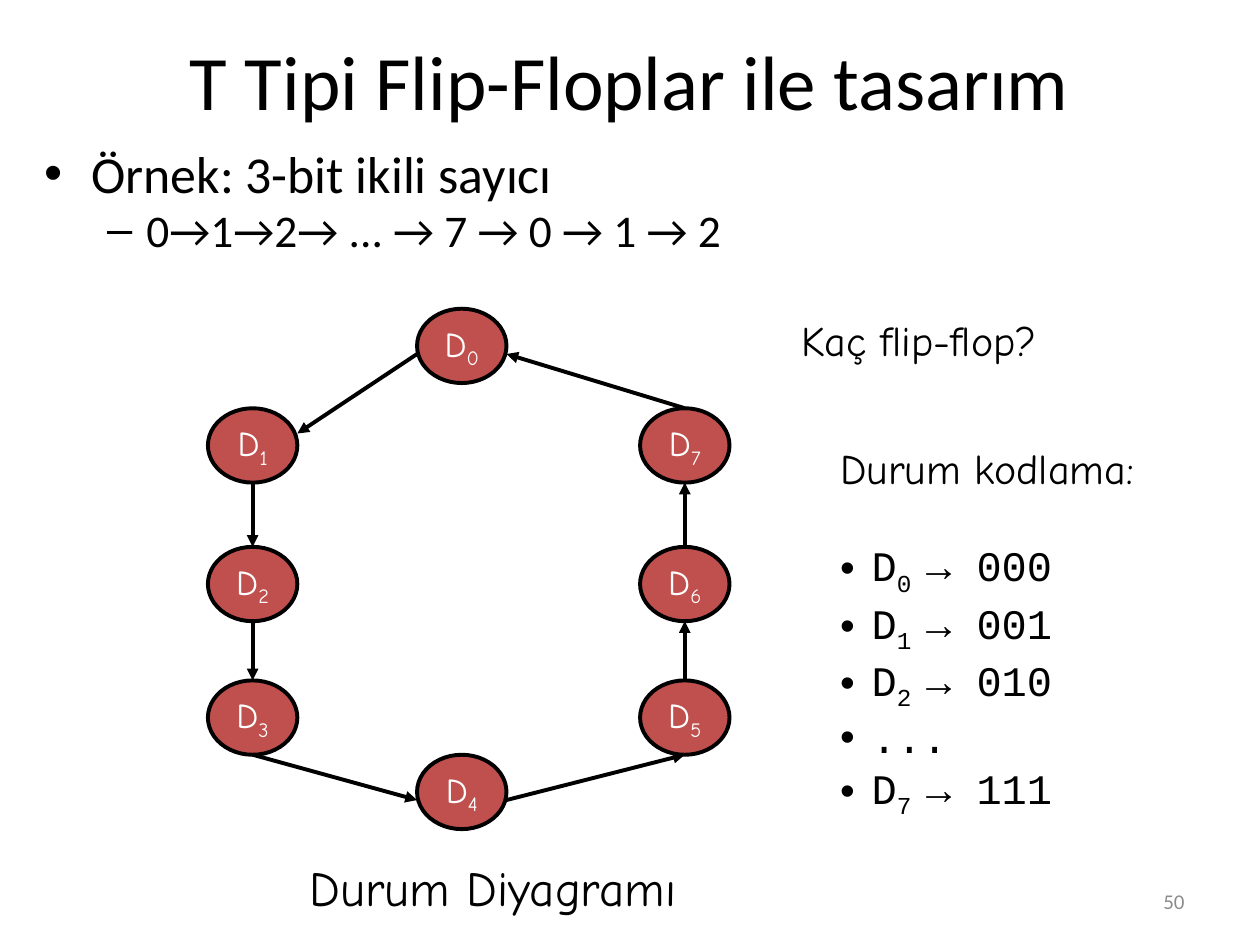
from dataclasses import dataclass

from lxml import etree
from pptx import Presentation
from pptx.dml.color import RGBColor
from pptx.enum.shapes import MSO_CONNECTOR, MSO_SHAPE
from pptx.enum.text import MSO_ANCHOR, MSO_AUTO_SIZE, PP_ALIGN
from pptx.oxml.ns import qn
from pptx.util import Inches, Pt

STRAIGHT = MSO_CONNECTOR.STRAIGHT
OVAL = MSO_SHAPE.OVAL
MIDDLE = MSO_ANCHOR.MIDDLE
NO_FIT = MSO_AUTO_SIZE.NONE
CENTER, RIGHT, LEFT = PP_ALIGN.CENTER, PP_ALIGN.RIGHT, PP_ALIGN.LEFT

COLORS = {"ink": "000000", "state": "C0504D", "label": "FFFFFF", "number": "8C8C8C"}
SANS, COMIC, MONO = "Calibri", "Comic Neue", "Courier New"
STATE_W, STATE_H = 0.71, 0.59
LINE_W = Pt(2.25)

# Arrow ends, as fractions of a state's width and height
TOP, BOTTOM = (0.5, 0), (0.5, 1)
LOW_LEFT, LOW_RIGHT, HIGH_RIGHT = (0, 0.61), (1, 0.61), (1, 0.34)


@dataclass
class State:
    left: float
    top: float

    def point(self, anchor: tuple) -> tuple:
        return (Inches(self.left + anchor[0] * STATE_W),
                Inches(self.top + anchor[1] * STATE_H))


@dataclass
class Code:
    index: str
    bits: str


LEFT_X, MID_X, RIGHT_X = 1.65, 3.31, 5.08
ROWS = (3.24, 4.34, 5.4)
STATES = [
    State(MID_X, 2.45),
    *(State(LEFT_X, y) for y in ROWS),
    State(MID_X, 5.99),
    *(State(RIGHT_X, y) for y in reversed(ROWS)),
]
# Start and end anchors of the arrow that leaves each state
ARROWS = [
    (LOW_LEFT, HIGH_RIGHT), (BOTTOM, TOP), (BOTTOM, TOP), (BOTTOM, LOW_LEFT),
    (LOW_RIGHT, BOTTOM), (TOP, BOTTOM), (TOP, BOTTOM), (TOP, LOW_RIGHT),
]
CODES = [Code("0", "000"), Code("1", "001"), Code("2", "010"), None, Code("7", "111")]


def rgb(name: str) -> RGBColor:
    return RGBColor.from_string(COLORS[name])


def add_run(p, text: str, size: float, font: str, color: str = "ink", subscript: bool = False):
    r = p.add_run()
    r.text = text
    r.font.size = Pt(size)
    r.font.name = font
    r.font.color.rgb = rgb(color)
    if subscript:
        r.font._element.set("baseline", "-25000")


def add_text_box(slide, left: float, top: float, width: float, height: float, wrap: bool = False):
    tf = slide.shapes.add_textbox(Inches(left), Inches(top), Inches(width), Inches(height)).text_frame
    tf.word_wrap = wrap
    return tf


def set_hanging(p, bullet: str = ""):
    """Indent the paragraph by a quarter inch, with an optional bullet in the gap."""
    pPr = p._p.get_or_add_pPr()
    pPr.set("marL", str(Inches(0.25)))
    pPr.set("indent", str(-Inches(0.25)))
    if bullet:
        etree.SubElement(pPr, qn("a:buFont"), typeface="Arial")
        etree.SubElement(pPr, qn("a:buChar"), char=bullet)


def draw_state(slide, index: int, state: State):
    s = slide.shapes.add_shape(OVAL, Inches(state.left), Inches(state.top),
                               Inches(STATE_W), Inches(STATE_H))
    s.shadow.inherit = False
    s.fill.solid()
    s.fill.fore_color.rgb = rgb("state")
    s.line.color.rgb = rgb("ink")
    s.line.width = LINE_W
    tf = s.text_frame
    tf.word_wrap = False
    tf.vertical_anchor = MIDDLE
    p = tf.paragraphs[0]
    p.alignment = CENTER
    add_run(p, "D", 20, COMIC, "label")
    add_run(p, str(index), 20, COMIC, "label", subscript=True)


def draw_arrow(slide, start: tuple, end: tuple):
    c = slide.shapes.add_connector(STRAIGHT, *start, *end)
    c.line.color.rgb = rgb("ink")
    c.line.width = LINE_W
    etree.SubElement(c.line._get_or_add_ln(), qn("a:tailEnd"), type="triangle")
    etree.SubElement(c._element.spPr, qn("a:effectLst"))


def fill_placeholders(slide):
    title, body = slide.placeholders[0], slide.placeholders[1]
    for sp, box in ((title, (0.5, 0.01, 9, 1.25)), (body, (0.25, 1.17, 9.58, 1.01))):
        sp.left, sp.top, sp.width, sp.height = map(Inches, box)
        sp.text_frame.auto_size = NO_FIT
    add_run(title.text_frame.paragraphs[0], "T Tipi Flip-Floplar ile tasarım", 44, SANS)

    tf = body.text_frame
    lines = (("Örnek: 3-bit ikili sayıcı", 29.6), ("0→1→2→ ... → 7 → 0 → 1 → 2", 25.9))
    for level, (text, size) in enumerate(lines):
        p = tf.add_paragraph() if level else tf.paragraphs[0]
        p.level = level
        p.line_spacing = 0.8
        add_run(p, text, size, SANS)


def draw_coding(slide):
    tf = add_text_box(slide, 6.57, 3.46, 2.67, 2.93)
    p = tf.paragraphs[0]
    p.alignment = LEFT
    p.space_after = Pt(27)
    set_hanging(p)
    add_run(p, "Durum kodlama:", 24, COMIC)
    for code in CODES:
        p = tf.add_paragraph()
        set_hanging(p, "•")
        if code is None:
            add_run(p, "...", 24, MONO)
            continue
        add_run(p, "D", 24, MONO)
        add_run(p, f"{code.index} ", 24, MONO, subscript=True)
        add_run(p, f"→ {code.bits}", 24, MONO)


def main():
    prs = Presentation()
    prs.slide_width, prs.slide_height = Inches(10), Inches(7.5)
    slide = prs.slides.add_slide(prs.slide_layouts[1])
    fill_placeholders(slide)

    tf = add_text_box(slide, 7.17, 6.95, 2.33, 0.4, wrap=True)
    tf.vertical_anchor = MIDDLE
    p = tf.paragraphs[0]
    p.alignment = RIGHT
    add_run(p, "50", 12, SANS, "number")

    for i, state in enumerate(STATES):
        draw_state(slide, i, state)
    for i, (start, end) in enumerate(ARROWS):
        following = STATES[(i + 1) % len(STATES)]
        draw_arrow(slide, STATES[i].point(start), following.point(end))

    question = add_text_box(slide, 6.26, 2.45, 2.33, 0.5)
    add_run(question.paragraphs[0], "Kaç flip-flop?", 24, COMIC)
    draw_coding(slide)
    caption = add_text_box(slide, 2.36, 6.76, 3.32, 0.57)
    add_run(caption.paragraphs[0], "Durum Diyagramı", 28, COMIC)

    prs.save("out.pptx")


if __name__ == "__main__":
    main()
